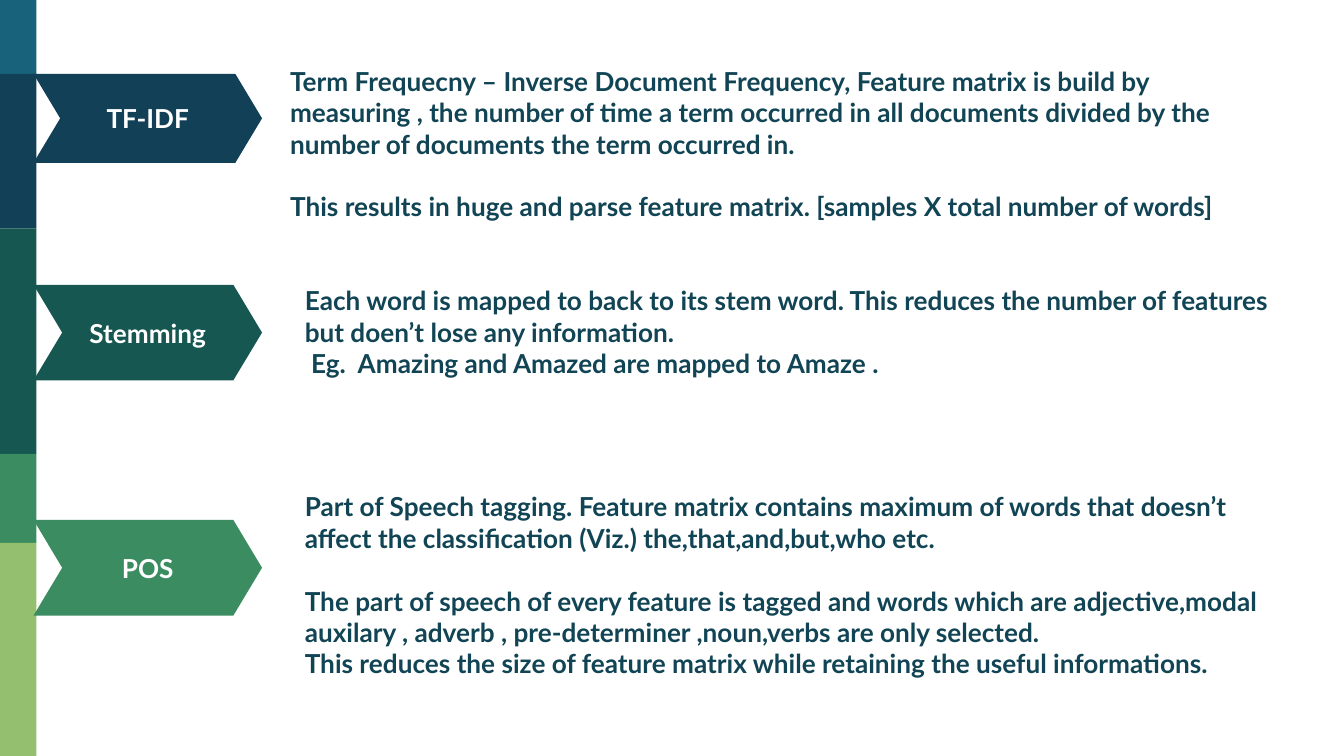
"""Builds a slide describing three text feature techniques."""
import itertools

import pptx
import pptx.dml.color
import pptx.enum.shapes
import pptx.enum.text
import pptx.util

Pt = pptx.util.Pt
COLORS = {
    "teal": "18637B",
    "navy": "124057",
    "pine": "165751",
    "green": "3B8D61",
    "lime": "94BF6E",
    "ink": "114454",
    "white": "FFFFFF",
}


class SlideBuilder:
    """Holds the style and the current slide."""

    font = "Lato"
    size = 14
    line_height = 16.8
    inset = 7.2

    def __init__(self, slide):
        """Keep the slide to draw on."""
        self.slide = slide

    def color(self, name):
        """Return the named colour."""
        return pptx.dml.color.RGBColor.from_string(COLORS[name])

    def shape(self, kind, left, top, width, height, fill):
        """Add a flat preset shape."""
        shape = self.slide.shapes.add_shape(
            kind, Pt(left), Pt(top), Pt(width), Pt(height))
        shape.shadow.inherit = False
        shape.fill.solid()
        shape.fill.fore_color.rgb = self.color(fill)
        shape.line.fill.background()
        return shape

    def bar(self, top, bottom, fill):
        """Add one section of the side strip."""
        kind = pptx.enum.shapes.MSO_SHAPE.RECTANGLE
        self.shape(kind, 0, top, 19.5, bottom - top, fill)

    def chevron(self, top, height, label, fill):
        """Add a labelled chevron."""
        kind = pptx.enum.shapes.MSO_SHAPE.CHEVRON
        chevron = self.shape(kind, 18, top, 122.4, height, fill)
        chevron.adjustments[0] = 0.3
        self.fill_text(chevron.text_frame, [label], "white",
                       pptx.enum.text.PP_ALIGN.CENTER)

    def description(self, left, top, blocks, bottom_gap):
        """Add a text box whose blocks are one empty line apart."""
        box = self.slide.shapes.add_textbox(
            Pt(left), Pt(top), Pt(546.5), Pt(86.4))
        self.fill_text(box.text_frame, list(itertools.chain(*blocks)), "ink",
                       pptx.enum.text.PP_ALIGN.LEFT)
        box.text_frame.margin_bottom = Pt(self.inset + bottom_gap)
        starts = itertools.accumulate(len(block) for block in blocks[:-1])
        for start in starts:
            box.text_frame.paragraphs[start].space_before = Pt(self.line_height)

    def fill_text(self, frame, lines, color, alignment):
        """Fill a text frame with styled paragraphs."""
        frame.word_wrap = True
        frame.vertical_anchor = pptx.enum.text.MSO_ANCHOR.MIDDLE
        frame.margin_left = frame.margin_right = Pt(self.inset)
        frame.margin_top = frame.margin_bottom = Pt(self.inset)
        frame.text = "\n".join(lines)
        for para in frame.paragraphs:
            para.alignment = alignment
            for span in para.runs:
                span.font.name = self.font
                span.font.size = Pt(self.size)
                span.font.bold = True
                span.font.color.rgb = self.color(color)


BAR_EDGES = [0, 39.6, 122.4, 243.2, 290.9, 405]
BAR_FILLS = ["teal", "navy", "pine", "green", "lime"]

CHEVRONS = [
    (39.6, 47.6, "TF-IDF", "navy"),
    (152.6, 51.2, "Stemming", "pine"),
    (278.6, 51.2, "POS", "green"),
]

DESCRIPTIONS = [
    (148.3, 33.8, [
        ["Term Frequecny – Inverse Document Frequency, Feature matrix is "
         "build by measuring , the number of time a term occurred in all "
         "documents divided by the number of documents the term occurred in."],
        ["This results in huge and parse feature matrix. "
         "[samples X total number of words]"],
    ], 0),
    (156.2, 134.6, [
        ["Each word is mapped to back to its stem word. This reduces the "
         "number of features but doen’t lose any information.",
         " Eg.  Amazing and Amazed are mapped to Amaze ."],
    ], 0),
    (156.2, 278.6, [
        ["Part of Speech tagging. Feature matrix contains maximum of words "
         "that doesn’t affect the classification (Viz.) "
         "the,that,and,but,who etc."],
        ["The part of speech of every feature is tagged and words which are "
         "adjective,modal auxilary , adverb , pre-determiner ,noun,verbs "
         "are only selected.",
         "This reduces the size of feature matrix while retaining the "
         "useful informations."],
    ], SlideBuilder.line_height),
]


def main():
    """Build and save the deck."""
    deck = pptx.Presentation()
    deck.slide_width, deck.slide_height = Pt(720), Pt(405)
    page = SlideBuilder(deck.slides.add_slide(deck.slide_layouts[6]))
    for top, bottom, fill in zip(BAR_EDGES, BAR_EDGES[1:], BAR_FILLS):
        page.bar(top, bottom, fill)
    for chevron in CHEVRONS:
        page.chevron(*chevron)
    for description in DESCRIPTIONS:
        page.description(*description)
    deck.save("out.pptx")


if __name__ == "__main__":
    main()
